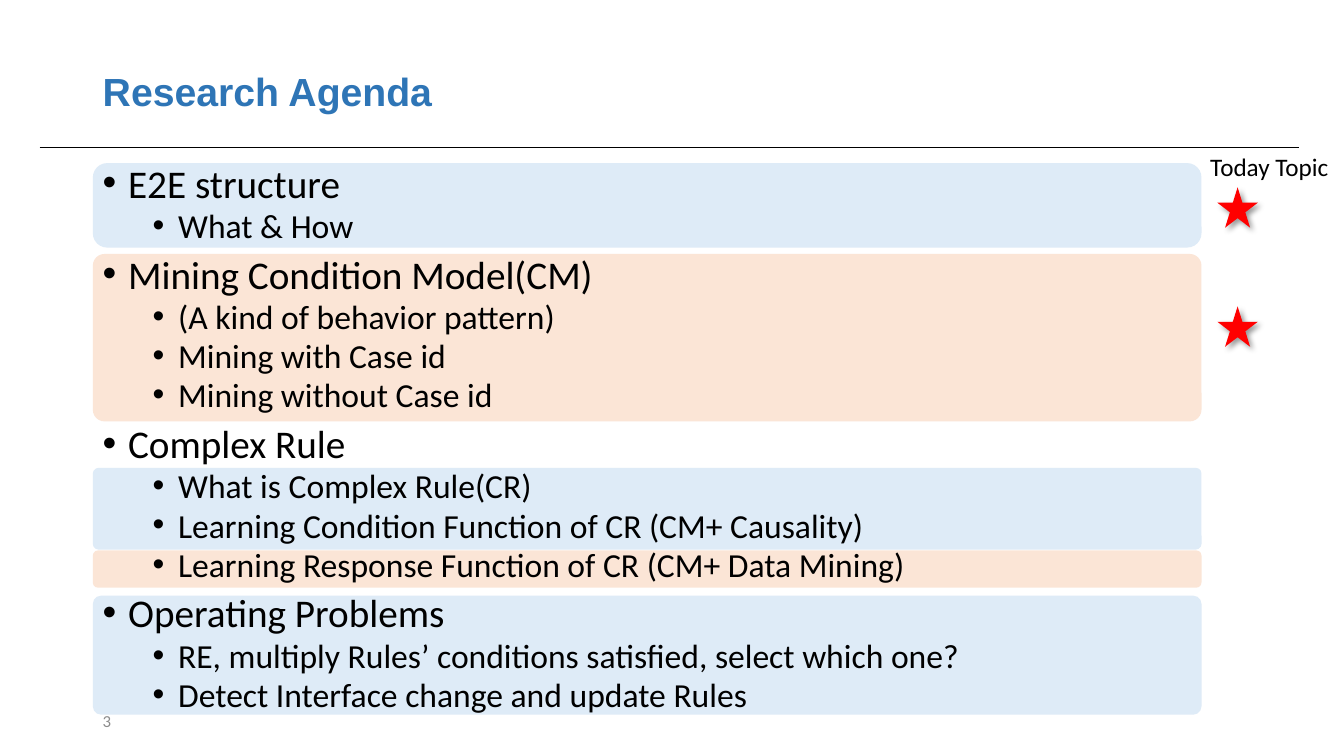
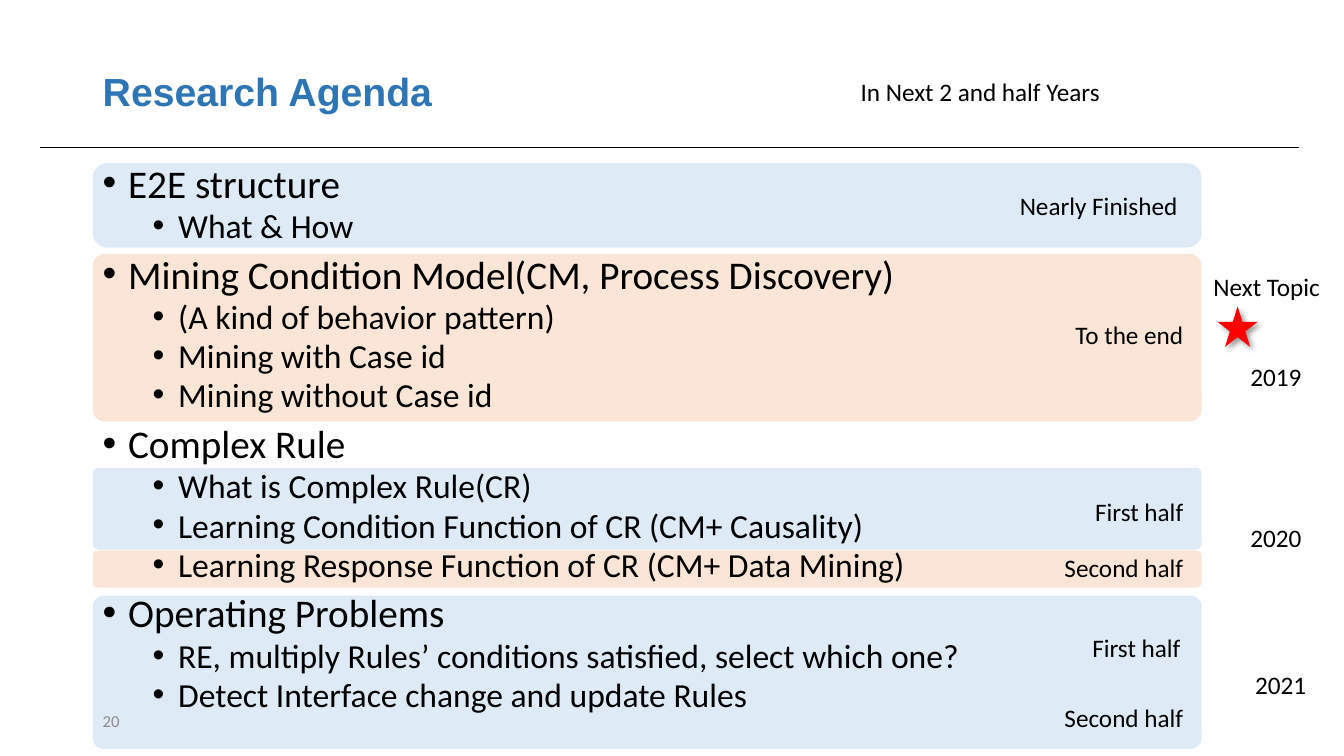
from lxml import etree
from pptx import Presentation
from pptx.dml.color import RGBColor
from pptx.enum.shapes import MSO_CONNECTOR, MSO_SHAPE
from pptx.enum.text import MSO_ANCHOR, PP_ALIGN
from pptx.oxml.ns import qn
from pptx.util import Cm, Pt

STRAIGHT = MSO_CONNECTOR.STRAIGHT
ROUNDED = MSO_SHAPE.ROUNDED_RECTANGLE
STAR = MSO_SHAPE.STAR_5_POINT
TOP, MIDDLE = MSO_ANCHOR.TOP, MSO_ANCHOR.MIDDLE
LEFT, RIGHT = PP_ALIGN.LEFT, PP_ALIGN.RIGHT

BLACK, RED, GREY = "000000", "FF0000", "8C8C8C"
TITLE_BLUE, PALE_BLUE, PALE_ORANGE = "2E75B6", "DEEBF7", "FBE5D6"
TITLE_FONT, BODY_FONT = "Arial", "Calibri"

MARGIN = 2.34
BAND_WIDTH = 27.94
LABEL_HEIGHT = 1.02
STAR_LEFT, STAR_SIZE = 30.68, 1.02
# Top, height, corner ratio and colour of each band; the last one varies in height
BANDS = [
    (4.11, 2.13, 0.17, PALE_BLUE),
    (6.4, 4.22, 0.07, PALE_ORANGE),
    (11.79, 2.06, 0.07, PALE_BLUE),
    (13.87, 0.94, 0.14, PALE_ORANGE),
]
LAST_BAND_TOP = 15.01
# Font size, space before, left indent for each outline level
LEVELS = [(28, 10, 0.64), (24, 5, 1.9)]
BULLET_HANG = 0.64


def color(hex_string):
    return RGBColor.from_string(hex_string)


def add_text_box(slide, left, top, width, height, anchor=TOP):
    frame = slide.shapes.add_textbox(Cm(left), Cm(top), Cm(width), Cm(height)).text_frame
    frame.word_wrap = True
    frame.vertical_anchor = anchor
    return frame


def add_run(paragraph, text, size, hex_string=BLACK, font=BODY_FONT, bold=False):
    run = paragraph.add_run()
    run.text = text
    run.font.size = Pt(size)
    run.font.name = font
    run.font.bold = bold
    run.font.color.rgb = color(hex_string)


def add_filled_shape(slide, kind, left, top, width, height, fill):
    shape = slide.shapes.add_shape(kind, Cm(left), Cm(top), Cm(width), Cm(height))
    shape.shadow.inherit = False
    shape.fill.solid()
    shape.fill.fore_color.rgb = color(fill)
    shape.line.fill.background()
    return shape


def add_bands(slide, last_height):
    last_band = (LAST_BAND_TOP, last_height, 0.07, PALE_BLUE)
    for top, height, corner, fill in [*BANDS, last_band]:
        band = add_filled_shape(slide, ROUNDED, MARGIN, top, BAND_WIDTH, height, fill)
        band.adjustments[0] = corner


def add_star(slide, top):
    """Add a red star with a soft shadow to the lower right."""
    star = add_filled_shape(slide, STAR, STAR_LEFT, top, STAR_SIZE, STAR_SIZE, RED)
    effects = star._element.spPr.find(qn("a:effectLst"))
    shadow = etree.SubElement(effects, qn("a:outerShdw"), blurRad=str(Pt(4)),
                              dist=str(Pt(3)), dir="2700000", algn="tl", rotWithShape="0")
    shade = etree.SubElement(shadow, qn("a:srgbClr"), val=BLACK)
    etree.SubElement(shade, qn("a:alpha"), val="40000")


def add_label(slide, text, left, top, width, alignment=LEFT):
    paragraph = add_text_box(slide, left, top, width, LABEL_HEIGHT).paragraphs[0]
    paragraph.alignment = alignment
    add_run(paragraph, text, 18)


def add_right_label(slide, text, right, top, width):
    add_label(slide, text, right - width, top, width, RIGHT)


def add_bullet(paragraph, indent):
    properties = paragraph._p.get_or_add_pPr()
    properties.set("marL", str(Cm(indent)))
    properties.set("indent", str(-Cm(BULLET_HANG)))
    etree.SubElement(properties, qn("a:buFont"), typeface=TITLE_FONT)
    etree.SubElement(properties, qn("a:buChar"), char="•")


def add_outline(slide, width, topics):
    """Write each topic and its points as a two-level bulleted list."""
    frame = add_text_box(slide, MARGIN, 4.11, width, 14.94)
    entries = [(level, text) for heading, points in topics
               for level, text in [(0, heading), *((1, point) for point in points)]]
    for index, (level, text) in enumerate(entries):
        paragraph = frame.add_paragraph() if index else frame.paragraphs[0]
        size, space_before, indent = LEVELS[level]
        paragraph.level = level
        paragraph.line_spacing = 0.8
        paragraph.space_before = Pt(space_before if index else 0)
        add_bullet(paragraph, indent)
        add_run(paragraph, text, size)


def agenda_topics(mining_heading):
    return [
        ("E2E structure", ["What & How"]),
        (mining_heading, ["(A kind of behavior pattern)", "Mining with Case id",
                          "Mining without Case id"]),
        ("Complex Rule", ["What is Complex Rule(CR)",
                          "Learning Condition Function of CR (CM+ Causality)",
                          "Learning Response Function of CR (CM+ Data Mining)"]),
        ("Operating Problems", ["RE, multiply Rules’ conditions satisfied, select which one?",
                                "Detect Interface change and update Rules"]),
    ]


def add_agenda_slide(presentation, number, last_band_height, outline_width, mining_heading):
    slide = presentation.slides.add_slide(presentation.slide_layouts[6])
    rule = slide.shapes.add_connector(STRAIGHT, Cm(1), Cm(3.71), Cm(32.74), Cm(3.71))
    rule.line.color.rgb = color(BLACK)
    rule.line.width = Pt(0.5)
    etree.SubElement(rule._element.spPr, qn("a:effectLst"))
    add_bands(slide, last_band_height)
    title = add_text_box(slide, MARGIN, 1.02, 29.21, 2.69, MIDDLE).paragraphs[0]
    title.line_spacing = 0.9
    add_run(title, "Research Agenda", 28, TITLE_BLUE, TITLE_FONT, True)
    add_outline(slide, outline_width, agenda_topics(mining_heading))
    footer = add_text_box(slide, MARGIN, 17.65, 7.62, 1.02, MIDDLE).paragraphs[0]
    add_run(footer, number, 12, GREY)
    return slide


def add_today_slide(presentation):
    slide = add_agenda_slide(presentation, "3", 3, 25.43, "Mining Condition Model(CM)")
    add_label(slide, "Today Topic", 30.25, 3.68, 3.6)
    for top in (4.72, 7.72):
        add_star(slide, top)


def add_plan_slide(presentation):
    slide = add_agenda_slide(presentation, "20", 3.86, 22.33,
                             "Mining Condition Model(CM, Process Discovery)")
    add_label(slide, "In Next 2 and half Years", 21.44, 1.8, 6.8)
    add_label(slide, "Nearly Finished", 25.45, 4.67, 4.62)
    for text, right, top in [("To the end", 30.07, 7.92), ("First half", 30.07, 12.37),
                             ("Second half", 30.07, 13.79), ("First half", 30, 15.82),
                             ("Second half", 30.07, 17.58)]:
        add_right_label(slide, text, right, top, 5)
    add_label(slide, "Next Topic", 30.33, 6.71, 3.5)
    add_star(slide, 7.72)
    for year, right, top in [("2019", 33.05, 8.97), ("2020", 33.05, 13.03),
                             ("2021", 33.17, 16.74)]:
        add_right_label(slide, year, right, top, 2.2)


def main():
    presentation = Presentation()
    presentation.slide_width = Cm(33.87)
    presentation.slide_height = Cm(19.05)
    add_today_slide(presentation)
    add_plan_slide(presentation)
    presentation.save("out.pptx")


if __name__ == "__main__":
    main()
